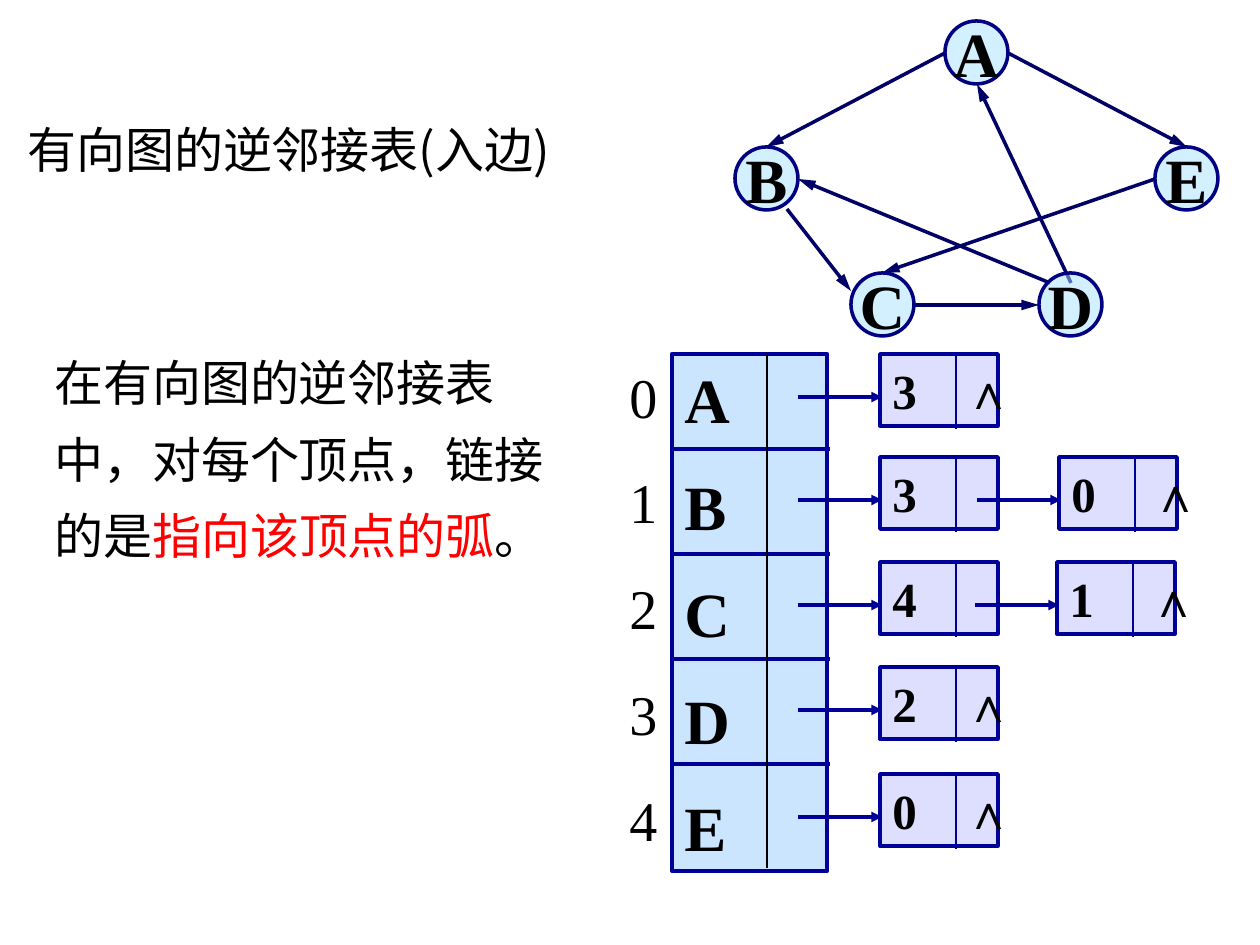
from lxml.etree import SubElement
from pptx import Presentation
from pptx.dml.color import RGBColor
from pptx.enum.shapes import MSO_CONNECTOR, MSO_SHAPE
from pptx.enum.text import MSO_ANCHOR, PP_ALIGN
from pptx.oxml.ns import qn
from pptx.util import Pt

PX = 914400 / 126
BLACK = RGBColor(0x00, 0x00, 0x00)
RED = RGBColor(0xFF, 0x00, 0x00)
NAVY = RGBColor(0x00, 0x00, 0x66)
RING = RGBColor(0x00, 0x00, 0x80)
BLUE = RGBColor(0x00, 0x00, 0x99)
NODE_FILL = RGBColor(0xA7, 0xE2, 0xFF)
HEAD_FILL = RGBColor(0x99, 0xCC, 0xFF)
CELL_FILL = RGBColor(0xBE, 0xC1, 0xFE)
SERIF, SANS, CJK = "Times New Roman", "Arial", "Noto Sans CJK SC"

NODE = 63
NODES = {"A": (210, 0), "B": (0, 126), "E": (420, 126), "C": (116, 252), "D": (304, 252)}
EDGES = [
    ((210, 32), (31, 126)),
    ((52, 188), (116, 270)),
    ((179, 284), (304, 284)),
    ((336, 262), (242, 63)),
    ((273, 32), (452, 126)),
    ((315, 262), (63, 158)),
    ((420, 158), (147, 252)),
]
# row top, then (cell left, source index) for each arc that enters the vertex
ROWS = [
    (0, [(0, "3")]),
    (103, [(0, "3"), (179, "0")]),
    (208, [(0, "4"), (177, "1")]),
    (313, [(0, "2")]),
    (420, [(0, "0")]),
]


def emu(*lengths):
    return [round(n * PX) for n in lengths]


def add_text(sp, *paragraphs, size, font=SERIF, bold=False, align=PP_ALIGN.LEFT,
             anchor=MSO_ANCHOR.TOP, wrap=True, gap=0, line_spacing=None):
    """Fill a shape; each paragraph is a string or a list of (text, colour) runs."""
    tf = sp.text_frame
    tf.word_wrap = wrap
    tf.vertical_anchor = anchor
    for i, runs in enumerate(paragraphs):
        p = tf.add_paragraph() if i else tf.paragraphs[0]
        p.alignment = align
        p.line_spacing = line_spacing
        p._p.get_or_add_pPr().set("hangingPunct", "0")
        if i and gap:
            p.space_before = Pt(gap)
        for text, color in [(runs, BLACK)] if isinstance(runs, str) else runs:
            r = p.add_run()
            r.text = text
            r.font.size, r.font.name, r.font.bold = Pt(size), font, bold
            r.font.color.rgb = color
            SubElement(r.font._element, qn("a:ea"), typeface=CJK)


def add_label(slide, x, y, w, h, *paragraphs, **style):
    add_text(slide.shapes.add_textbox(*emu(x, y, w, h)), *paragraphs, **style)


def add_box(slide, kind, x, y, w, h, fill, line, width):
    """Add a half-transparent outlined shape."""
    sp = slide.shapes.add_shape(kind, *emu(x, y, w, h))
    sp.shadow.inherit = False
    sp.fill.solid()
    sp.fill.fore_color.rgb = fill
    color = sp._element.spPr.find(qn("a:solidFill"))[0]
    SubElement(color, qn("a:alpha"), val="50000")
    sp.line.color.rgb = line
    sp.line.width = Pt(width)
    return sp


def add_line(slide, x1, y1, x2, y2, color, width, head=None):
    """Add a straight line; head is the arrowhead length, "med" or "lg"."""
    line = slide.shapes.add_connector(MSO_CONNECTOR.STRAIGHT, *emu(x1, y1, x2, y2))
    line.line.color.rgb = color
    line.line.width = Pt(width)
    if head:
        SubElement(line.line._get_or_add_ln(), qn("a:tailEnd"),
                   type="triangle", w="med", len=head)
    SubElement(line._element.spPr, qn("a:effectLst"))


def add_graph(slide, x, y):
    for (x1, y1), (x2, y2) in EDGES:
        add_line(slide, x + x1, y + y1, x + x2, y + y2, NAVY, 2, head="lg")
    for name, (dx, dy) in NODES.items():
        sp = add_box(slide, MSO_SHAPE.OVAL, x + dx, y + dy, NODE, NODE, NODE_FILL, RING, 2)
        add_text(sp, name, size=36, bold=True, align=PP_ALIGN.CENTER,
                 anchor=MSO_ANCHOR.MIDDLE, wrap=False)


def add_vertex_table(slide, x, y, w, h):
    sp = add_box(slide, MSO_SHAPE.RECTANGLE, x, y, w, h, HEAD_FILL, BLUE, 2.5)
    add_text(sp, *"ABCDE", size=36, bold=True, gap=18, anchor=MSO_ANCHOR.MIDDLE)
    for i in range(4):
        row_y = y + 95 + 105 * i
        add_line(slide, x, row_y, x + w + 3, row_y, BLUE, 2.25)
    add_line(slide, x + 95, y, x + 95, y + h - 3, BLACK, 1)
    add_label(slide, x - 55, y + 2, 53, 503, *"01234", size=32, gap=22, wrap=False)


def add_cell(slide, x, y, index):
    """Add a list cell together with the arrow that leads into it."""
    sp = add_box(slide, MSO_SHAPE.RECTANGLE, x, y, 118, 72, CELL_FILL, BLUE, 2)
    add_text(sp, index, size=28, bold=True)
    add_line(slide, x + 76, y + 1, x + 76, y + 75, BLUE, 1)
    add_line(slide, x - 82, y + 43, x + 2, y + 43, BLUE, 2, head="med")


def add_arc_lists(slide, x, y):
    for top, cells in ROWS:
        for dx, index in cells:
            add_cell(slide, x + dx, y + top, index)
        mark_x = x + dx + (80 if dx else 72)
        add_label(slide, mark_x, y + top, 42, 72, "∧", size=28, font=SANS,
                  bold=True, wrap=False)


def main():
    prs = Presentation()
    prs.slide_width, prs.slide_height = emu(1260, 945)
    slide = prs.slides.add_slide(prs.slide_layouts[6])
    add_graph(slide, 735, 21)
    add_label(slide, 15, 96, 631, 89, "有向图的逆邻接表(入边)",
              size=28, font=CJK, line_spacing=1.3)
    add_vertex_table(slide, 672, 354, 155, 517)
    add_arc_lists(slide, 880, 354)
    add_label(slide, 42, 329, 557, 242,
              [("在有向图的逆邻接表中，对每个顶点，链接的是", BLACK),
               ("指向该顶点的弧", RED), ("。", BLACK)],
              size=28, line_spacing=1.3)
    prs.save("out.pptx")


if __name__ == "__main__":
    main()
